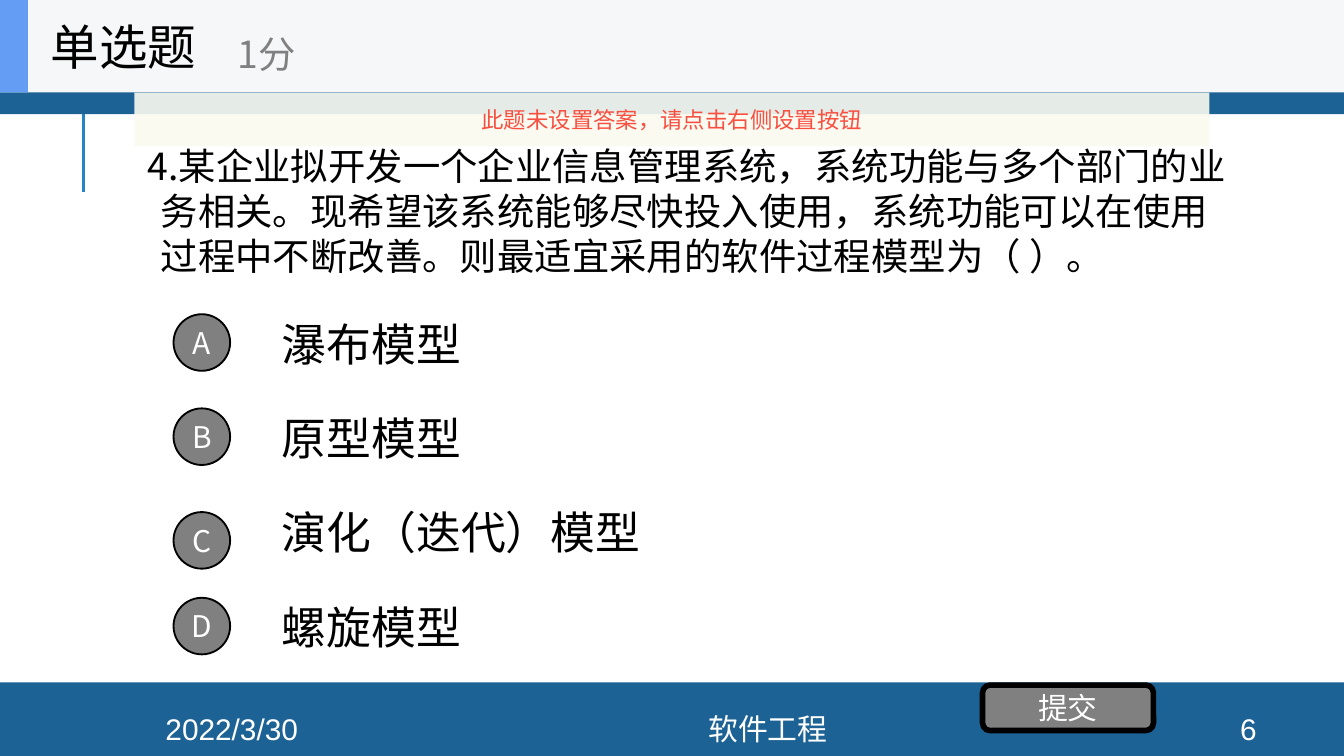
from lxml import etree
from pptx import Presentation
from pptx.dml.color import RGBColor
from pptx.enum.shapes import MSO_CONNECTOR, MSO_SHAPE
from pptx.enum.text import MSO_ANCHOR, MSO_AUTO_SIZE, PP_ALIGN
from pptx.oxml.ns import qn
from pptx.util import Cm, Pt

COLORS = {
    "band": "1D6294", "rule": "2683C6", "gray": "808080", "black": "000000",
    "white": "FFFFFF", "header": "F6F7F8", "accent": "639EF4",
    "notice": "FBFAEF", "warning": "F84F41",
}
SANS = "Noto Sans CJK SC"

prs = Presentation()
prs.slide_width, prs.slide_height = Cm(25.4), Cm(14.29)
slide = prs.slides.add_slide(prs.slide_layouts[5])
shapes = slide.shapes


def write(shape, text, size, color, font="Arial", align=PP_ALIGN.LEFT, inset=0.25):
    """Fill a shape with one vertically centred paragraph and return it."""
    frame = shape.text_frame
    frame.word_wrap = True
    frame.auto_size = MSO_AUTO_SIZE.NONE
    frame.vertical_anchor = MSO_ANCHOR.MIDDLE
    frame.margin_left = frame.margin_right = Cm(inset)
    frame.margin_top = frame.margin_bottom = 0
    paragraph = frame.paragraphs[0]
    paragraph.text = text
    paragraph.alignment = align
    paragraph.font.size = Pt(size)
    paragraph.font.name = font
    paragraph.font.color.rgb = RGBColor.from_string(COLORS[color])
    return paragraph


def add_block(kind, left, top, width, height, fill, outline=0):
    """Add a filled preset shape with a black outline of the given points, if any."""
    block = shapes.add_shape(kind, Cm(left), Cm(top), Cm(width), Cm(height))
    block.shadow.inherit = False
    block.fill.solid()
    block.fill.fore_color.rgb = RGBColor.from_string(COLORS[fill])
    if outline:
        block.line.color.rgb = RGBColor.from_string(COLORS["black"])
        block.line.width = Pt(outline)
    else:
        block.line.fill.background()
    return block


# Background bands and vertical rule
rule = shapes.add_connector(MSO_CONNECTOR.STRAIGHT, Cm(1.58), Cm(3.63), Cm(1.58), Cm(1.73))
rule.line.color.rgb = RGBColor.from_string(COLORS["rule"])
rule.line.width = Pt(1.5)
etree.SubElement(rule._element.spPr, qn("a:effectLst"))
add_block(MSO_SHAPE.RECTANGLE, 0, 12.9, 25.4, 1.39, "band")
add_block(MSO_SHAPE.RECTANGLE, 0, -0.08, 25.4, 2.24, "band")

# Footer
for text, left, width in [("2022/3/30", 2.13, 4.5), ("软件工程", 6.63, 15.77), ("6", 22.58, 2.03)]:
    footer = shapes.add_textbox(Cm(left), Cm(13.49), Cm(width), Cm(0.58))
    write(footer, text, 16, "white", align=PP_ALIGN.CENTER)

# Question, numbered 4
question = shapes.add_textbox(Cm(2.54), Cm(1.75), Cm(21), Cm(4.47))
props = question.text_frame.paragraphs[0]._p.get_or_add_pPr()
props.set("marL", str(Cm(0.25)))
props.set("indent", str(Cm(-1.27)))
etree.SubElement(props, qn("a:buFont"), typeface="+mj-lt")
etree.SubElement(props, qn("a:buAutoNum"), type="arabicPeriod", startAt="4")
stem = write(
    question,
    "某企业拟开发一个企业信息管理系统，系统功能与多个部门的业务相关。"
    "现希望该系统能够尽快投入使用，系统功能可以在使用过程中不断改善。"
    "则最适宜采用的软件过程模型为（ ）。",
    20, "black")
stem.line_spacing = Pt(24)

# Answer options
options = [("A", "瀑布模型", 5.94), ("B", "原型模型", 7.72),
           ("C", "演化（迭代）模型", 9.68), ("D", "螺旋模型", 11.3)]
for row, (letter, answer, badge_top) in enumerate(options):
    answer_box = shapes.add_textbox(Cm(5.08), Cm(5.82 + 1.78 * row), Cm(17.78), Cm(1.35))
    write(answer_box, answer, 24, "black")
    badge = add_block(MSO_SHAPE.OVAL, 3.28, badge_top, 1.07, 1.07, "gray", 1)
    write(badge, letter, 16, "white", SANS, PP_ALIGN.CENTER, inset=0)

submit = add_block(MSO_SHAPE.ROUNDED_RECTANGLE, 18.57, 12.95, 3.23, 0.86, "gray", 3)
write(submit, "提交", 16, "white", SANS, PP_ALIGN.CENTER)

# Header with title and score
add_block(MSO_SHAPE.RECTANGLE, 0, 0, 25.4, 1.75, "header")
add_block(MSO_SHAPE.RECTANGLE, 0, 0, 0.53, 1.75, "accent")
title = shapes.title
title.left, title.top, title.width, title.height = Cm(0.71), Cm(0), Cm(5.28), Cm(1.75)
write(title, "单选题", 26, "black", SANS)
shapes.element.append(title.element)  # bring the title in front of the header
score = shapes.add_textbox(Cm(4.24), Cm(0.3), Cm(6.35), Cm(1.42))
write(score, "1分", 20, "gray", SANS)

# Notice strip, slightly see-through
notice = add_block(MSO_SHAPE.RECTANGLE, 2.54, 1.75, 20.32, 1.02, "notice")
notice_color = notice.element.spPr.find(qn("a:solidFill"))[0]
etree.SubElement(notice_color, qn("a:alpha"), val="90000")
write(notice, "此题未设置答案，请点击右侧设置按钮", 12, "warning", SANS, PP_ALIGN.CENTER)

prs.save("out.pptx")
